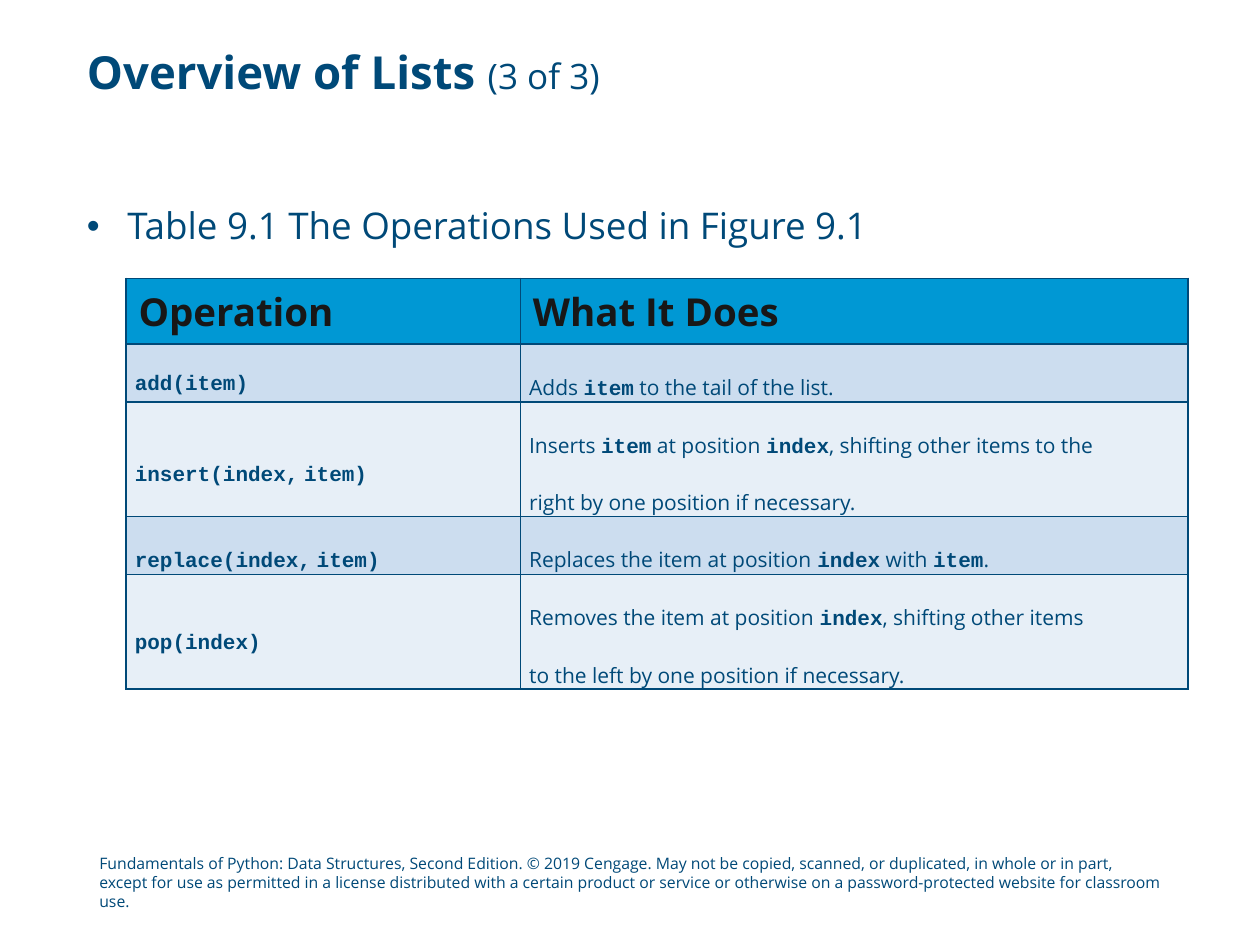
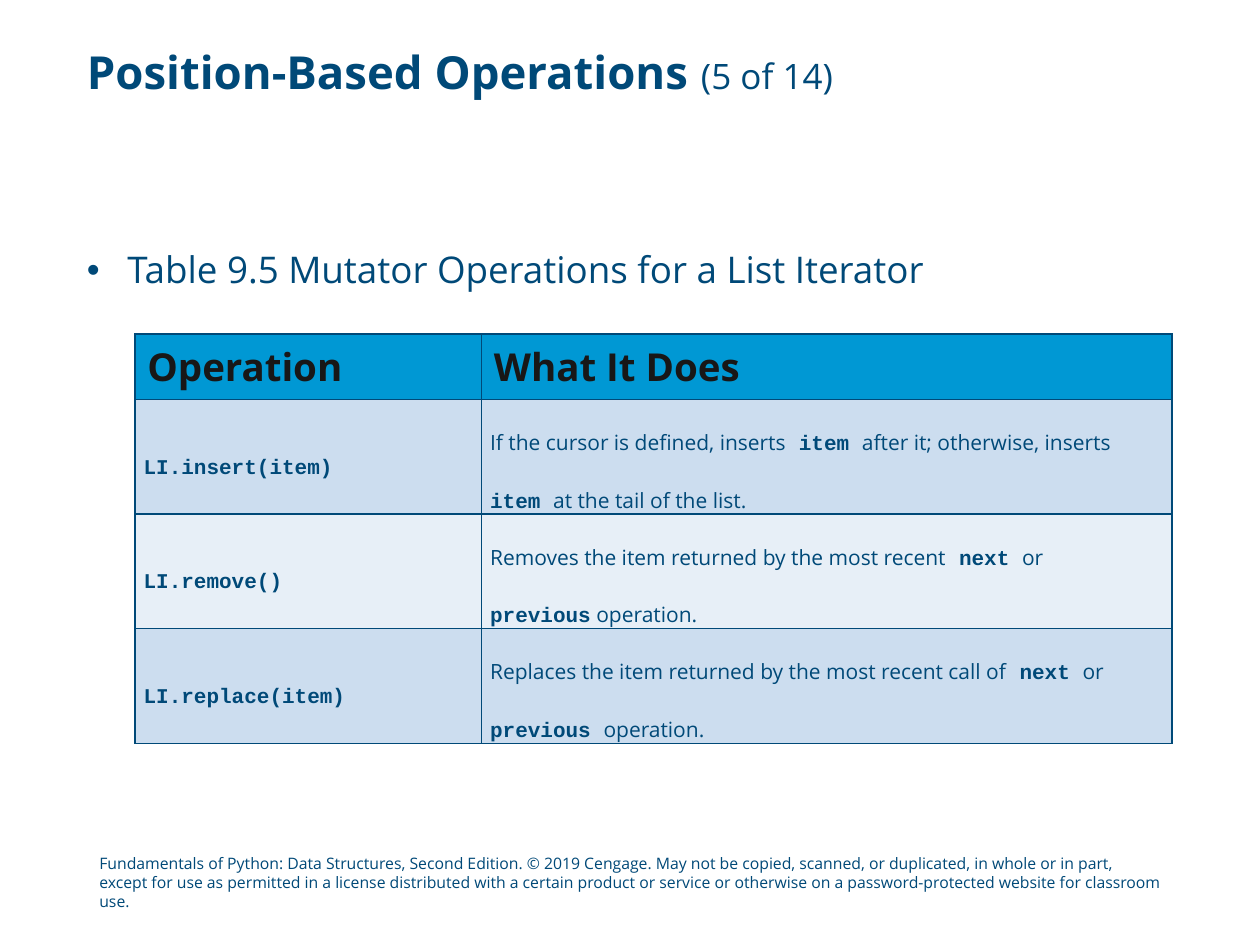
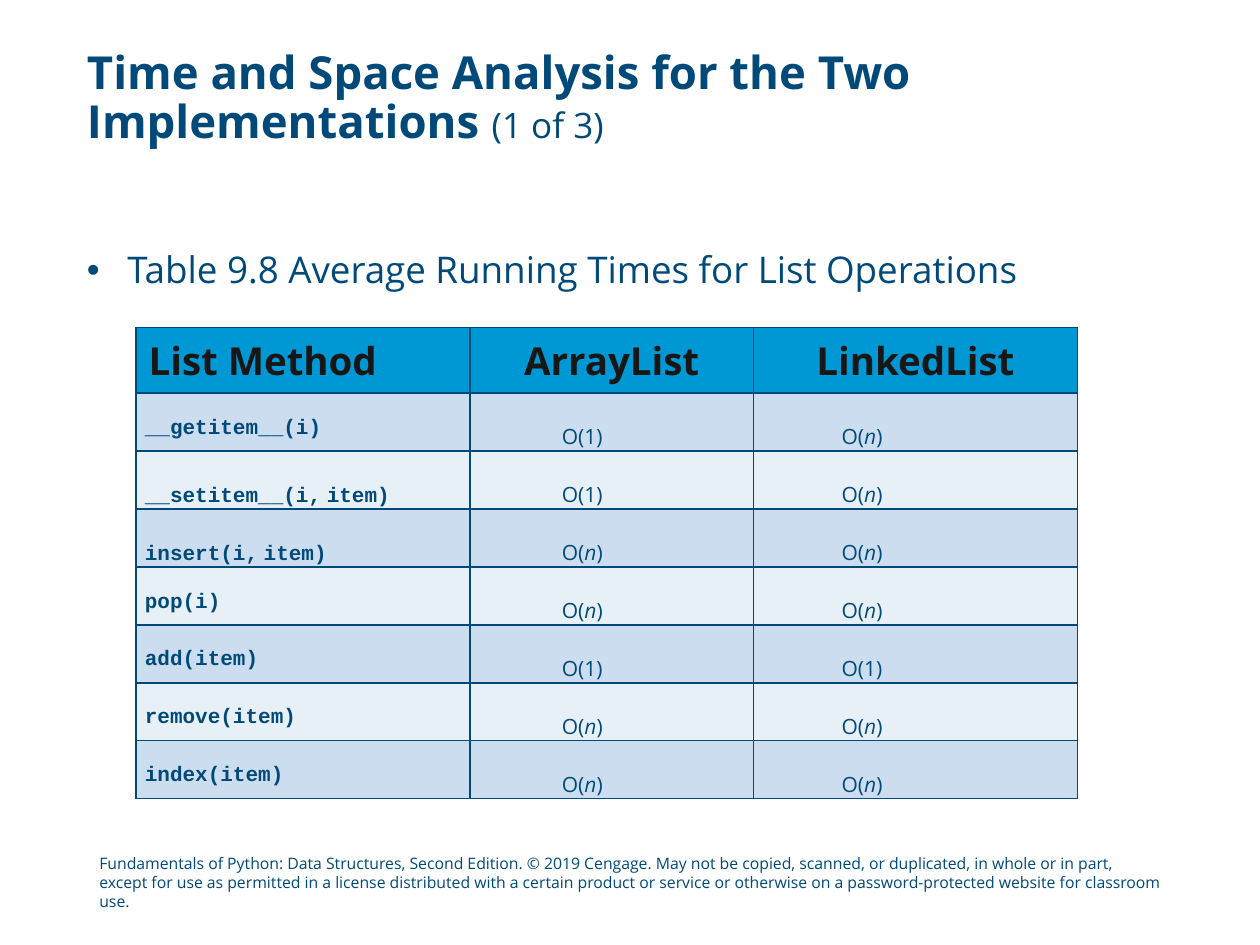
import pptx
import pptx.util
import pptx.dml.color
import pptx.enum.text
import pptx.oxml
import pptx.oxml.ns

Inches = pptx.util.Inches
Pt = pptx.util.Pt
RGB = pptx.dml.color.RGBColor
ALIGN = pptx.enum.text.PP_ALIGN
ANCHOR = pptx.enum.text.MSO_ANCHOR

# Colours and text formats
NAVY = RGB(0x00, 0x49, 0x78)
INK = RGB(0x18, 0x17, 0x17)
BLUE = RGB(0x00, 0x98, 0xD4)
BANDS = [RGB(0xCC, 0xDD, 0xEF), RGB(0xE7, 0xEF, 0xF7)]

SANS = "Open Sans"
TITLE = {"name": SANS, "size": Pt(26), "bold": True}
COUNT = {"name": SANS, "size": Pt(20), "bold": False}
LEAD = {"name": SANS, "size": Pt(21)}
HEAD = {"name": SANS, "size": Pt(22), "bold": True}
WORD = {"name": SANS, "size": Pt(12), "bold": False}
CODE = {"name": "Courier New", "size": Pt(12), "bold": True}
FOOT = {"name": SANS, "size": Pt(9)}

# Lengths in inches: page column, then row heights by lines of text
LEFT, WIDTH = 0.69, 8.62
TOP, SINGLE, DOUBLE = 0.52, 0.46, 0.91
PAD = 0.07

# Content: backticks mark code, asterisks mark italics
NOTE = (
    "Fundamentals of Python: Data Structures, Second Edition. © 2019 Cengage. "
    "May not be copied, scanned, or duplicated, in whole or in part, except for "
    "use as permitted in a license distributed with a certain product or service "
    "or otherwise on a password-protected website for classroom use."
)
ONE, LINEAR = "O(1)", "O(*n*)"

SLIDES = [
    {
        "title": "Overview of Lists ", "count": "(3 of 3)", "tall": 0.56,
        "lead": "Table 9.1 The Operations Used in Figure 9.1",
        "top": 1.65, "deep": 0.4,
        "spot": (1, 2.21), "cols": [3.13, 5.3], "pads": [PAD, 0.7],
        "highs": [TOP, SINGLE, DOUBLE, SINGLE, DOUBLE],
        "rows": [
            ("Operation", "What It Does"),
            ("`add(item)`", "Adds `item` to the tail of the list."),
            ("`insert(index,` `item)`",
             "Inserts `item` at position `index`, shifting other items to the "
             "right by one position if necessary."),
            ("`replace(index,` `item)`",
             "Replaces the item at position `index` with `item`."),
            ("`pop(index)`",
             "Removes the item at position `index`, shifting other items to the "
             "left by one position if necessary."),
        ],
    },
    {
        "title": "Position-Based Operations ", "count": "(5 of 14)", "tall": 0.6,
        "lead": "Table 9.5 Mutator Operations for a List Iterator",
        "top": 2, "deep": 0.5,
        "spot": (1.07, 2.65), "cols": [2.75, 5.48], "pads": [PAD, 0.35],
        "highs": [TOP] + [DOUBLE] * 3,
        "rows": [
            ("Operation", "What It Does"),
            ("`LI.insert(item)`",
             "If the cursor is defined, inserts` item `after it; otherwise, "
             "inserts `item `at the tail of the list."),
            ("`LI.remove()`",
             "Removes the item returned by the most recent` next `or "
             "`previous` operation."),
            ("`LI.replace(item)`",
             "Replaces the item returned by the most recent call of` next `or "
             "`previous `operation."),
        ],
    },
    {
        "title": "Time and Space Analysis for the Two Implementations ",
        "count": "(1 of 3)", "tall": 0.94,
        "lead": "Table 9.8 Average Running Times for List Operations",
        "top": 2, "deep": 0.42,
        "spot": (1.08, 2.6), "cols": [2.65, 2.25, 2.57], "pads": [PAD] * 3,
        "highs": [TOP] + [SINGLE] * 7,
        "dents": [0, 0.66, 0.63],
        "rows": [
            ("List Method", "ArrayList", "LinkedList"),
            ("`__getitem__(i)`", ONE, LINEAR),
            ("`__setitem__(i,` `item)`", ONE, LINEAR),
            ("`insert(i,` `item)`", LINEAR, LINEAR),
            ("`pop(i)`", LINEAR, LINEAR),
            ("`add(item)`", ONE, ONE),
            ("`remove(item)`", LINEAR, LINEAR),
            ("`index(item)`", LINEAR, LINEAR),
        ],
    },
]


def assign(item, form):
    for key, value in form.items():
        setattr(item, key, value)


def write(para, text, form, color=NAVY):
    run = para.add_run()
    run.text = text
    assign(run.font, form)
    run.font.color.rgb = color


def parse(text):
    """Yield each piece of marked text with its format."""
    for i, part in enumerate(text.split("`")):
        for j, bit in enumerate(part.split("*")):
            if bit:
                form = CODE if i % 2 else WORD
                yield bit, {**form, "italic": bool(j % 2)}


def indent(para, left, first=0):
    props = para._p.get_or_add_pPr()
    props.set("marL", str(Inches(left)))
    props.set("indent", str(Inches(first)))
    return props


def add_box(slide, top, high, inset):
    box = slide.shapes.add_textbox(
        Inches(LEFT), Inches(top), Inches(WIDTH), Inches(high))
    frame = box.text_frame
    frame.word_wrap = True
    if not inset:
        sides = ("margin_left", "margin_top", "margin_right", "margin_bottom")
        assign(frame, dict.fromkeys(sides, 0))
    return frame.paragraphs[0]


def edge(cell):
    """Rule all four sides of a cell; lines go ahead of the fill."""
    props = cell._tc.get_or_add_tcPr()
    for spot, side in enumerate(("lnL", "lnR", "lnT", "lnB")):
        line = pptx.oxml.parse_xml(
            f'<a:{side} {pptx.oxml.ns.nsdecls("a")} w="{Pt(1)}">'
            f'<a:solidFill><a:srgbClr val="{NAVY}"/></a:solidFill></a:{side}>')
        props.insert(spot, line)


def add_grid(slide, data):
    rows, cols, highs = data["rows"], data["cols"], data["highs"]
    dents = data.get("dents")
    x, y = data["spot"]
    grid = slide.shapes.add_table(
        len(rows), len(cols), Inches(x), Inches(y),
        Inches(sum(cols)), Inches(sum(highs))).table
    grid.horz_banding = False
    for col, wide in zip(grid.columns, cols):
        col.width = Inches(wide)
    for r, (row, high) in enumerate(zip(rows, highs)):
        grid.rows[r].height = Inches(high)
        for c, text in enumerate(row):
            cell = grid.cell(r, c)
            para = cell.text_frame.paragraphs[0]
            cell.vertical_anchor = ANCHOR.MIDDLE
            cell.fill.solid()
            cell.fill.fore_color.rgb = BANDS[(r - 1) % 2] if r else BLUE
            edge(cell)
            if r == 0:
                write(para, text, HEAD, INK)
                if dents and c:
                    para.alignment = ALIGN.CENTER
                continue
            assign(cell, {"margin_left": Inches(PAD), "margin_top": 0,
                          "margin_right": Inches(data["pads"][c]),
                          "margin_bottom": 0})
            para.line_spacing = 2.0
            if dents and c:
                indent(para, dents[c])
            elif dents:
                cell.vertical_anchor = ANCHOR.TOP
            for bit, form in parse(text):
                write(para, bit, form)


def add_page(deck, data):
    slide = deck.slides.add_slide(deck.slide_layouts[6])

    # Title with its count
    para = add_box(slide, 0.4, data["tall"], False)
    para.line_spacing = 0.9
    write(para, data["title"], TITLE)
    write(para, data["count"], COUNT)

    # Bulleted table caption
    para = add_box(slide, data["top"], data["deep"], False)
    props = indent(para, 0.32, -0.32)
    for tag, key, value in (("buFont", "typeface", "Arial"),
                            ("buChar", "char", "•")):
        props.append(pptx.oxml.parse_xml(
            f'<a:{tag} {pptx.oxml.ns.nsdecls("a")} {key}="{value}"/>'))
    para.line_spacing = 0.9
    write(para, data["lead"], LEAD)

    add_grid(slide, data)

    # Footer
    write(add_box(slide, 6.73, 0.4, True), NOTE, FOOT)


def main():
    deck = pptx.Presentation()
    deck.slide_width, deck.slide_height = Inches(10), Inches(7.5)
    for data in SLIDES:
        add_page(deck, data)
    deck.save("out.pptx")


if __name__ == "__main__":
    main()
